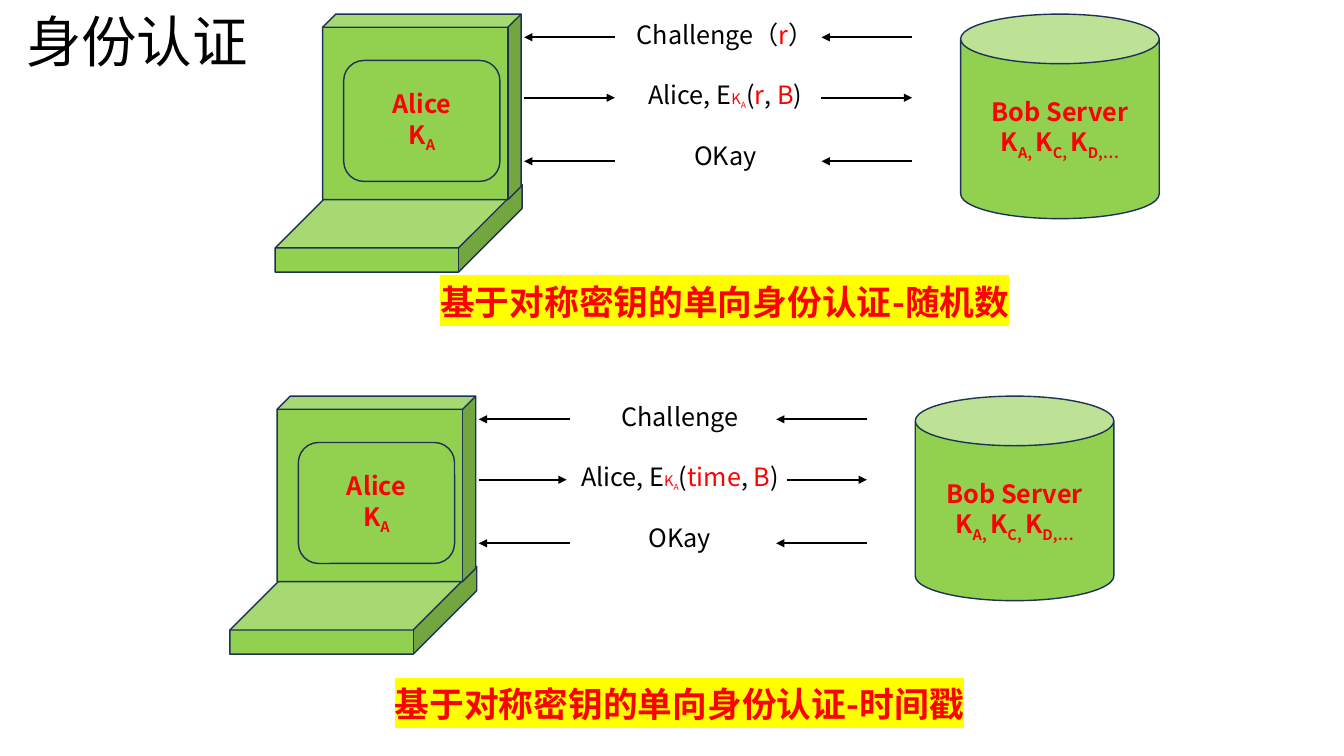
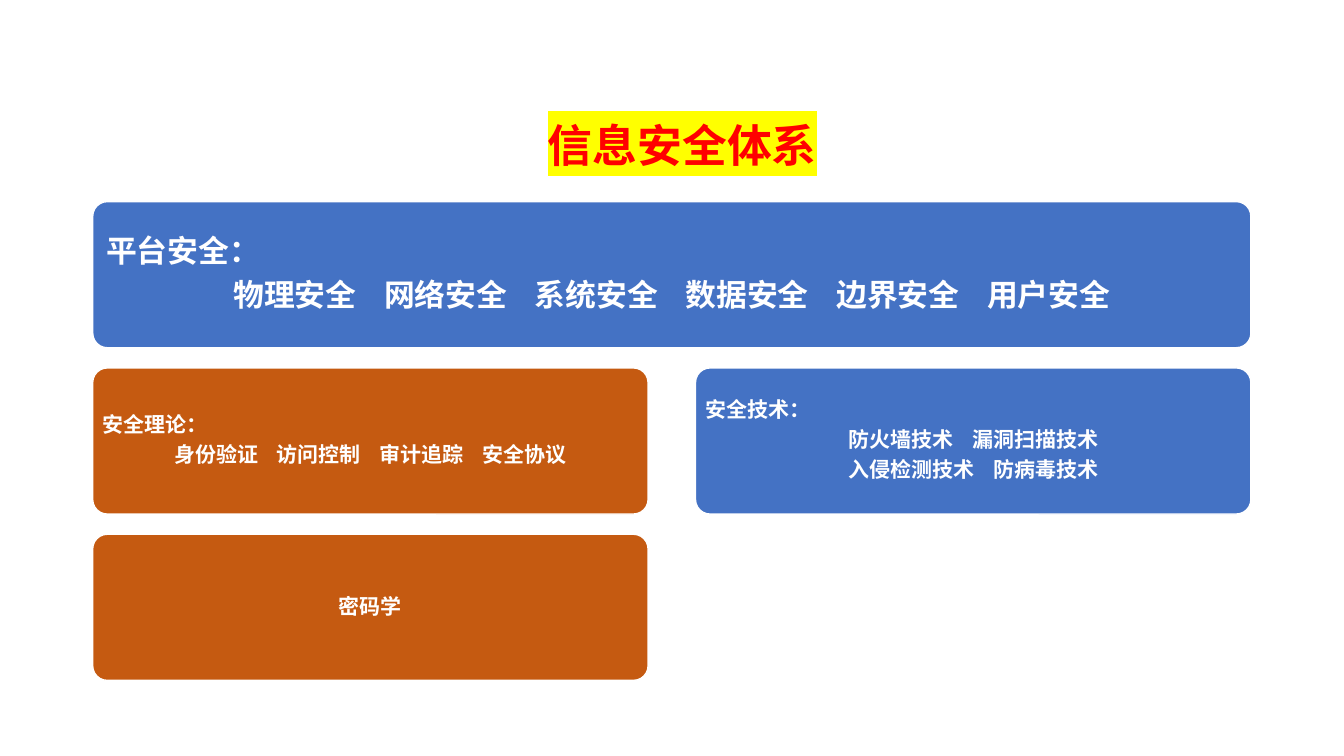
"""Build two slides: challenge-response authentication and the security system."""
from lxml import etree
from pptx import Presentation
from pptx.dml.color import RGBColor
from pptx.enum.shapes import MSO_CONNECTOR, MSO_SHAPE
from pptx.enum.text import MSO_ANCHOR, PP_ALIGN
from pptx.oxml.ns import qn
from pptx.util import Inches, Pt

CAN, CUBE, ROUND = MSO_SHAPE.CAN, MSO_SHAPE.CUBE, MSO_SHAPE.ROUNDED_RECTANGLE
LINE = MSO_CONNECTOR.STRAIGHT
TOP, MID, LOW = MSO_ANCHOR.TOP, MSO_ANCHOR.MIDDLE, MSO_ANCHOR.BOTTOM
LEFT, MIDST = PP_ALIGN.LEFT, PP_ALIGN.CENTER
FONT = "Noto Sans CJK SC"
HUES = {"black": "000000", "white": "FFFFFF", "red": "FF0000", "mark": "FFFF00",
        "green": "92D050", "edge": "1E3256", "blue": "4472C4", "rust": "C55A11"}
COLS, ROWS = 160, 90

deck = Presentation()
deck.slide_width, deck.slide_height = Inches(13.33), Inches(7.5)
WIDE, HIGH = deck.slide_width / COLS, deck.slide_height / ROWS


def place(slide, x, y, w, h, kind=None, fill="green", edge="edge", adj=None):
    """Add a preset shape, or a text box when no kind is given, in grid cells."""
    box = [int(x * WIDE), int(y * HIGH), int(w * WIDE), int(h * HIGH)]
    if kind is None:
        return slide.shapes.add_textbox(*box)
    shape = slide.shapes.add_shape(kind, *box)
    shape.shadow.inherit = False
    shape.fill.solid()
    shape.fill.fore_color.rgb = RGBColor.from_string(HUES[fill])
    shape.line.color.rgb = RGBColor.from_string(HUES[edge])
    shape.line.width = Pt(1)
    if adj is not None:
        shape.adjustments[0] = adj
    return shape


def write(shape, lines, size=18, ink="black", bold=False, mark=None, aligns=(MIDST,),
          anchor=MID, lead=None, before=0, after=0, inset=None):
    """Fill a shape with lines of runs; a run is a string or a (text, style) pair."""
    frame = shape.text_frame
    frame.word_wrap = True
    frame.vertical_anchor = anchor
    if inset is not None:
        frame.margin_left = frame.margin_right = Inches(inset)
        frame.margin_top = frame.margin_bottom = Inches(inset)
    for row, runs in enumerate(lines):
        para = frame.add_paragraph() if row else frame.paragraphs[0]
        para.alignment = aligns[min(row, len(aligns) - 1)]
        if lead:
            para.line_spacing = lead
        if row and before:
            para.space_before = Pt(before)
        if after:
            para.space_after = Pt(after)
        for item in runs:
            text, style = (item, {}) if isinstance(item, str) else item
            run = para.add_run()
            run.text = text
            font = run.font
            font.size, font.bold = Pt(style.get("size", size)), bold
            font.color.rgb = RGBColor.from_string(HUES[style.get("ink", ink)])
            props = font._element
            if "base" in style:
                props.set("baseline", style["base"])
            if mark:
                glow = etree.SubElement(props, qn("a:highlight"))
                etree.SubElement(glow, qn("a:srgbClr"), val=HUES[mark])
            font.name = FONT
            etree.SubElement(props, qn("a:ea"), typeface=FONT)


SUB = {"base": "-25000"}
RED = {"ink": "red"}
TINY = {"ink": "red", "size": 10.5}
LABEL = {"ink": "red", "bold": True}
BANNER = {**LABEL, "mark": "mark", "anchor": LOW}
ALICE = [["Alice"], ["K", ("A", SUB)]]
BOB = [["Bob Server"], ["K", ("A, ", SUB), "K", ("C, ", SUB), "K", ("D,…", SUB)]]

blank = deck.slide_layouts[6]
slide = deck.slides.add_slide(blank)
write(place(slide, 1.92, 1.68, 33.72, 7.2), [["身份认证"]], size=39.6, aligns=(LEFT,), lead=0.9)

flows = [
    (32.76, 1.68, ["Challenge（", ("r", RED), "）"], "r", "随机数", 29.4, 40.44, 65.04),
    (27.36, 47.16, ["Challenge"], "time", "时间戳", 31.8, 40.1, 66.36),
]
for x, y, ask, proof, kind, foot, stop, start in flows:
    write(place(slide, x + 81.6, y, 23.64, 24.36, CAN), BOB, **LABEL)
    place(slide, x, y + 20.28, 29.4, 10.44, CUBE, adj=0.724)
    place(slide, x + 5.64, y, 23.64, 22.08, CUBE, adj=0.071)
    write(place(slide, x + 8.16, y + 5.52, 18.6, 14.4, ROUND), ALICE, **LABEL)
    rows = [(2.76, False, 40.44, 65.04), (9.96, True, stop, start), (17.52, False, 40.44, 65.04)]
    for drop, right, near, far in rows:
        for ends in ((29.64, near), (far, 75.84)):
            tail, tip = ends if right else ends[::-1]
            level = int((y + drop) * HIGH)
            arrow = slide.shapes.add_connector(LINE, int((x + tail) * WIDE), level,
                                               int((x + tip) * WIDE), level)
            arrow.line.color.rgb = RGBColor.from_string(HUES["black"])
            arrow.line.width = Pt(1.5)
            etree.SubElement(arrow.line._get_or_add_ln(), qn("a:tailEnd"), type="triangle")
            etree.SubElement(arrow._element.spPr, qn("a:effectLst"))
    reply = ["Alice, E", ("K", TINY), ("A", {**TINY, **SUB}), "(", (proof, RED), ", ",
             ("B", RED), ")"]
    write(place(slide, x + 34.68, y, 37.8, 19.44), [ask, reply, ["OKay"]],
          anchor=TOP, before=21.6)
    write(place(slide, x + 15.6, y + foot, 75.84, 7.8),
          [["基于对称密钥的单向身份认证-" + kind]], size=24.8, lead=0.7, **BANNER)

slide = deck.slides.add_slide(blank)
SPAN, STEP = 66.12, 71.76
TALL, PITCH = 17.4, 19.8
panels = [
    (0, 0, 2, "blue", 22, "平台安全：",
     [["物理安全", "网络安全", "系统安全", "数据安全", "边界安全", "用户安全"]]),
    (0, 1, 1, "rust", 15, "安全理论：", [["身份验证", "访问控制", "审计追踪", "安全协议"]]),
    (0, 2, 1, "rust", 15, "", [["密码学"]]),
    (1, 1, 1, "blue", 15, "安全技术：",
     [["防火墙技术", "漏洞扫描技术"], ["入侵检测技术", "防病毒技术"]]),
]
for col, row, span, fill, size, head, groups in panels:
    gap = ("　", {"size": round(size * 0.9, 1)})
    lines = [[part for word in group for part in (gap, word)][1:] for group in groups]
    panel = place(slide, 11.04 + col * STEP, 24 + row * PITCH, SPAN + (span - 1) * STEP, TALL,
                  ROUND, fill=fill, edge="white", adj=0.1)
    write(panel, [[head]] + lines if head else lines, size=size, ink="white", bold=True,
          aligns=(LEFT, MIDST) if head else (MIDST,), lead=0.9, after=size * 0.35,
          inset=0.09 if span == 2 else 0.06)
write(place(slide, 52.56, 13.44, 57.36, 7.68), [["信息安全体系"]], size=32, lead=0.9, **BANNER)

deck.save("out.pptx")
